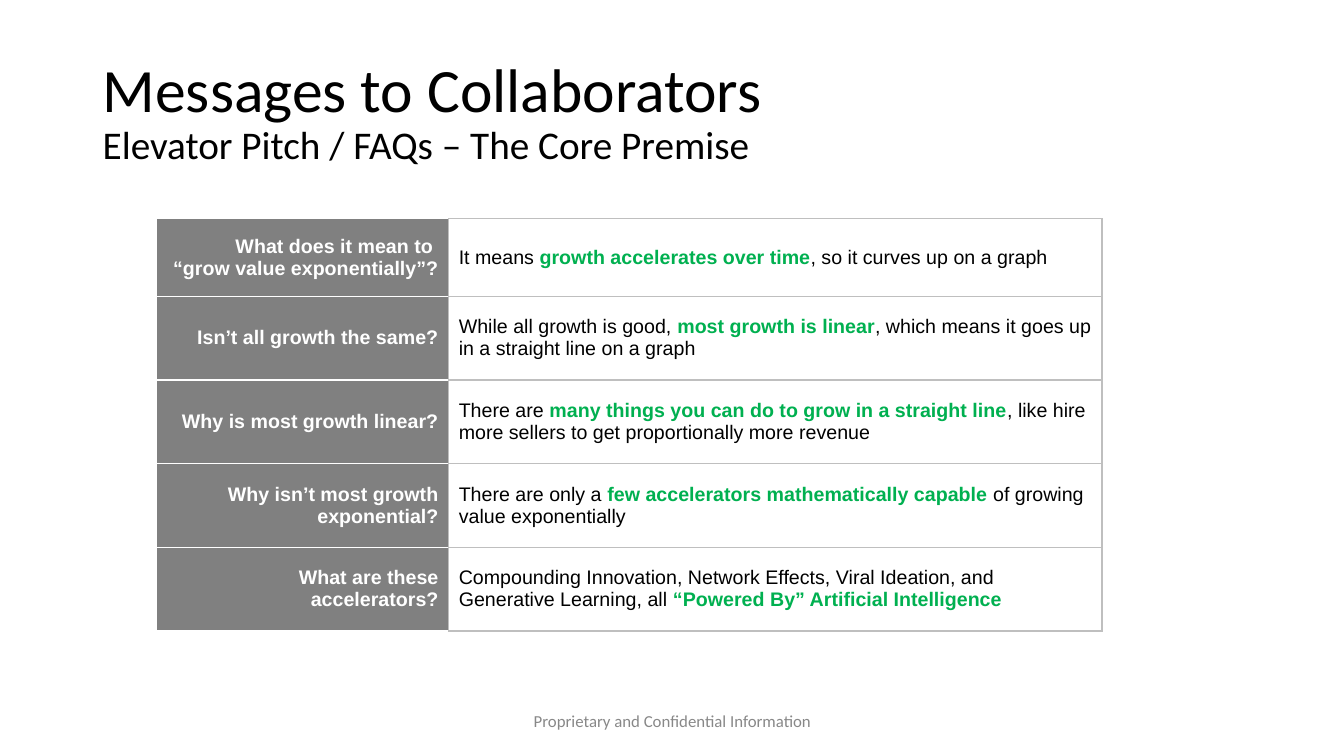
import pptx
import pptx.dml.color
import pptx.enum.text
import pptx.oxml
import pptx.oxml.ns
import pptx.util

Inches = pptx.util.Inches
Pt = pptx.util.Pt
RGBColor = pptx.dml.color.RGBColor
ALIGN = pptx.enum.text.PP_ALIGN
MIDDLE = pptx.enum.text.MSO_ANCHOR.MIDDLE

BLACK = RGBColor(0x00, 0x00, 0x00)
WHITE = RGBColor(0xFF, 0xFF, 0xFF)
GREEN = RGBColor(0x00, 0xB0, 0x50)
GRAY = RGBColor(0x80, 0x80, 0x80)
RULE = RGBColor(0xBF, 0xBF, 0xBF)
FOOTER = RGBColor(0x88, 0x88, 0x88)

TITLE = {"name": "Calibri", "size": Pt(44), "color": BLACK}
SUBTITLE = {**TITLE, "size": Pt(28)}
NOTICE = {"name": "Calibri", "size": Pt(12), "color": FOOTER}
ANSWER = {"name": "Arial", "size": Pt(14), "bold": False, "color": BLACK}
KEY = {**ANSWER, "bold": True, "color": GREEN}
QUESTION = {**KEY, "color": WHITE}

TEXT_BOXES = [
    ((0.92, 0.4, 9.79, 1.45), ALIGN.LEFT, 0.9,
     [("Messages to Collaborators\n", TITLE),
      ("Elevator Pitch / FAQs – The Core Premise", SUBTITLE)]),
    ((4.42, 6.95, 4.5, 0.4), ALIGN.CENTER, 1.0,
     [("Proprietary and Confidential Information", NOTICE)]),
]
FAQS = [
    ("What does it mean to \n“grow value exponentially”?",
     ("It means ", "growth accelerates over time", ", so it curves up on a graph")),
    ("Isn’t all growth the same?",
     ("While all growth is good, ", "most growth is linear",
      ", which means it goes up in a straight line on a graph")),
    ("Why is most growth linear?",
     ("There are ", "many things you can do to grow in a straight line",
      ", like hire more sellers to get proportionally more revenue")),
    ("Why isn’t most growth exponential?",
     ("There are only a ", "few accelerators mathematically capable ",
      "of growing value exponentially")),
    ("What are these accelerators?",
     ("Compounding Innovation, Network Effects, Viral Ideation, and "
      "Generative Learning, all ", "“Powered By” Artificial Intelligence")),
]
TABLE_AT = (1.55, 2.17)
COL_WIDTHS = (2.9, 6.48)
ROW_HEIGHTS = (0.77,) + (0.83,) * 4
QUESTION_BORDERS = {"lnL": WHITE, "lnR": RULE, "lnT": WHITE, "lnB": WHITE}
ANSWER_BORDERS = dict.fromkeys(QUESTION_BORDERS, RULE)


def write(p, runs, align):
    p.alignment = align
    for text, style in runs:
        for i, line in enumerate(text.split("\n")):
            if i:
                p.add_line_break()
            if not line:
                continue
            r = p.add_run()
            r.text = line
            for key, value in style.items():
                if key == "color":
                    r.font.color.rgb = value
                else:
                    setattr(r.font, key, value)


def fill_cell(cell, runs, align, fill, borders):
    cell.vertical_anchor = MIDDLE
    write(cell.text_frame.paragraphs[0], runs, align)
    if fill is None:
        cell.fill.background()
    else:
        cell.fill.solid()
        cell.fill.fore_color.rgb = fill
    tcPr = cell._tc.get_or_add_tcPr()
    for i, (side, color) in enumerate(borders.items()):
        tcPr.insert(i, pptx.oxml.parse_xml(
            f'<a:{side} {pptx.oxml.ns.nsdecls("a")} w="12700"><a:solidFill>'
            f'<a:srgbClr val="{color}"/></a:solidFill></a:{side}>'))


def main():
    prs = pptx.Presentation()
    prs.slide_width, prs.slide_height = Inches(13.33), Inches(7.5)
    s = prs.slides.add_slide(prs.slide_layouts[6])

    for at, align, spacing, runs in TEXT_BOXES:
        tf = s.shapes.add_textbox(*map(Inches, at)).text_frame
        tf.word_wrap = True
        tf.vertical_anchor = MIDDLE
        p = tf.paragraphs[0]
        p.line_spacing = spacing
        write(p, runs, align)

    size = (sum(COL_WIDTHS), sum(ROW_HEIGHTS))
    table = s.shapes.add_table(len(FAQS), len(COL_WIDTHS),
                               *map(Inches, TABLE_AT + size)).table
    table.first_row = table.horz_banding = False
    for col, width in zip(table.columns, COL_WIDTHS):
        col.width = Inches(width)
    for i, (question, answer) in enumerate(FAQS):
        table.rows[i].height = Inches(ROW_HEIGHTS[i])
        fill_cell(table.cell(i, 0), [(question, QUESTION)], ALIGN.RIGHT,
                  GRAY, QUESTION_BORDERS)
        fill_cell(table.cell(i, 1), zip(answer, (ANSWER, KEY, ANSWER)),
                  ALIGN.LEFT, None, ANSWER_BORDERS)

    prs.save("out.pptx")


if __name__ == "__main__":
    main()
